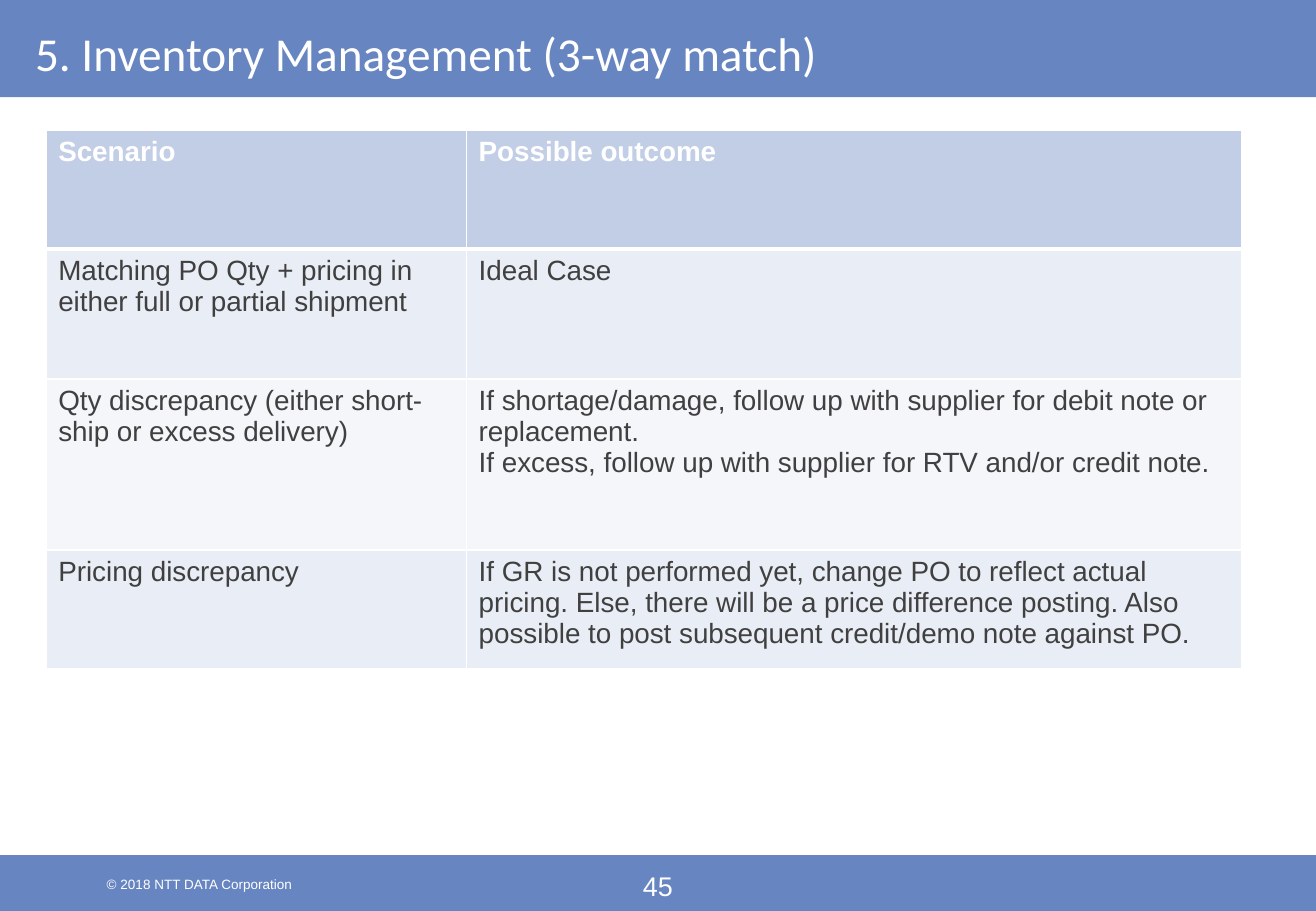
from lxml import etree
from pptx import Presentation
from pptx.dml.color import RGBColor
from pptx.enum import shapes, text
from pptx.oxml.ns import qn
from pptx.util import Inches, Pt

BAND_BLUE = RGBColor(0x67, 0x85, 0xC1)
HEADER_BLUE = RGBColor(0xC2, 0xCE, 0xE6)
ROW_TINT = RGBColor(0xE9, 0xED, 0xF5)
ROW_PALE = RGBColor(0xF4, 0xF6, 0xFA)
WHITE = RGBColor(0xFF, 0xFF, 0xFF)
BODY_GREY = RGBColor(0x40, 0x40, 0x40)

SLIDE_WIDTH, SLIDE_HEIGHT = 10.83, 7.5
COLUMN_WIDTHS = (3.46, 6.38)
ROW_HEIGHTS = (0.98, 1.07, 1.41, 0.98)
SCENARIOS = (
    ("Scenario", "Possible outcome"),
    ("Matching PO Qty + pricing in either full or partial shipment", "Ideal Case"),
    ("Qty discrepancy (either short-ship or excess delivery)",
     "If shortage/damage, follow up with supplier for debit note or replacement.\n"
     "If excess, follow up with supplier for RTV and/or credit note."),
    ("Pricing discrepancy",
     "If GR is not performed yet, change PO to reflect actual pricing. "
     "Else, there will be a price difference posting. "
     "Also possible to post subsequent credit/demo note against PO."),
)


def style_text(frame, color, **font_format):
    for paragraph in frame.paragraphs:
        for attribute, value in font_format.items():
            setattr(paragraph.font, attribute, value)
        paragraph.font.color.rgb = color


def add_band(slide, top, height):
    band = slide.shapes.add_shape(shapes.MSO_SHAPE.RECTANGLE, 0, Inches(top),
                                  Inches(SLIDE_WIDTH), Inches(height))
    band.shadow.inherit = False
    band.fill.solid()
    band.fill.fore_color.rgb = BAND_BLUE
    band.line.fill.background()


def add_label(slide, wording, box, size, font="Arial", align=text.PP_ALIGN.LEFT,
              anchor=text.MSO_ANCHOR.TOP, insets=(0, 0)):
    """Add white text; insets are the top and bottom margins in inches."""
    frame = slide.shapes.add_textbox(*map(Inches, box)).text_frame
    frame_format = {
        "word_wrap": True,
        "vertical_anchor": anchor,
        "margin_top": Inches(insets[0]),
        "margin_bottom": Inches(insets[1]),
        "text": wording,
    }
    for attribute, value in frame_format.items():
        setattr(frame, attribute, value)
    frame.paragraphs[0].alignment = align
    style_text(frame, WHITE, name=font, size=Pt(size))


def set_borders(cell, top, bottom):
    """Draw white cell borders, one point at the sides."""
    properties = cell._tc.get_or_add_tcPr()
    widths = {"a:lnL": 1, "a:lnR": 1, "a:lnT": top, "a:lnB": bottom}
    for position, (side, width) in enumerate(widths.items()):
        border = etree.Element(qn(side), w=str(Pt(width)))
        fill = etree.SubElement(border, qn("a:solidFill"))
        etree.SubElement(fill, qn("a:srgbClr"), val=str(WHITE))
        properties.insert(position, border)


def add_scenario_table(slide):
    table = slide.shapes.add_table(
        len(ROW_HEIGHTS), len(COLUMN_WIDTHS), Inches(0.38), Inches(1.07),
        Inches(sum(COLUMN_WIDTHS)), Inches(sum(ROW_HEIGHTS))).table
    for column, width in zip(table.columns, COLUMN_WIDTHS):
        column.width = Inches(width)
    for index, (row, height) in enumerate(zip(table.rows, ROW_HEIGHTS)):
        row.height = Inches(height)
        is_header = index == 0
        row_fill = HEADER_BLUE if is_header else ROW_TINT if index % 2 else ROW_PALE
        for cell, wording in zip(row.cells, SCENARIOS[index]):
            cell.text = wording
            cell.fill.solid()
            cell.fill.fore_color.rgb = row_fill
            set_borders(cell, top=3 if index == 1 else 1, bottom=3 if is_header else 1)
            style_text(cell.text_frame, WHITE if is_header else BODY_GREY,
                       name="Arial", size=Pt(16.5), bold=is_header)


def main():
    presentation = Presentation()
    presentation.slide_width = Inches(SLIDE_WIDTH)
    presentation.slide_height = Inches(SLIDE_HEIGHT)
    slide = presentation.slides.add_slide(presentation.slide_layouts[6])

    add_band(slide, 7.04, 0.46)
    add_label(slide, "© 2018 NTT DATA Corporation", (0.78, 7.21, 3.44, 0.13), 8)
    add_label(slide, "45", (5.05, 7.16, 0.73, 0.27), 16, align=text.PP_ALIGN.CENTER)
    add_band(slide, 0, 0.8)
    add_label(slide, "5. Inventory Management (3-way match)", (0.19, 0, 10.47, 0.79), 28,
              font="Calibri", anchor=text.MSO_ANCHOR.MIDDLE, insets=(0.12, 0.05))
    add_scenario_table(slide)

    presentation.save("out.pptx")


if __name__ == "__main__":
    main()
